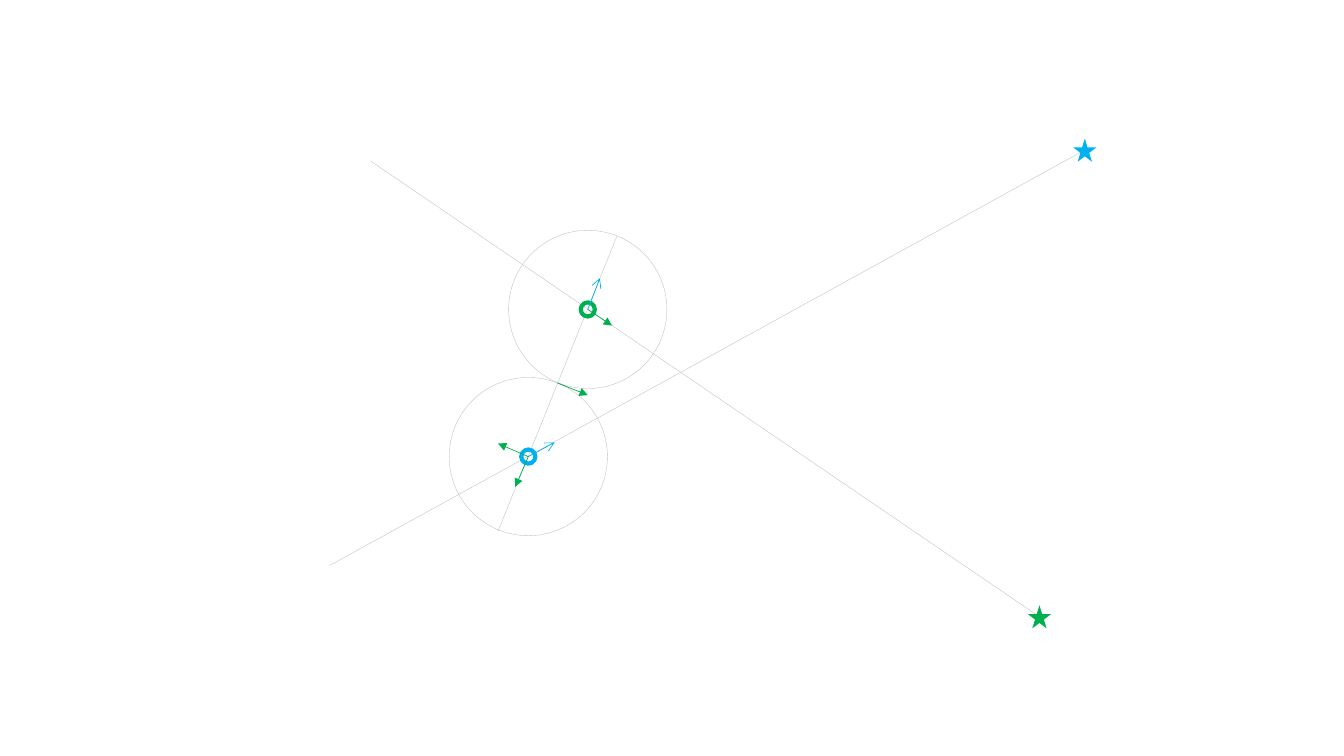
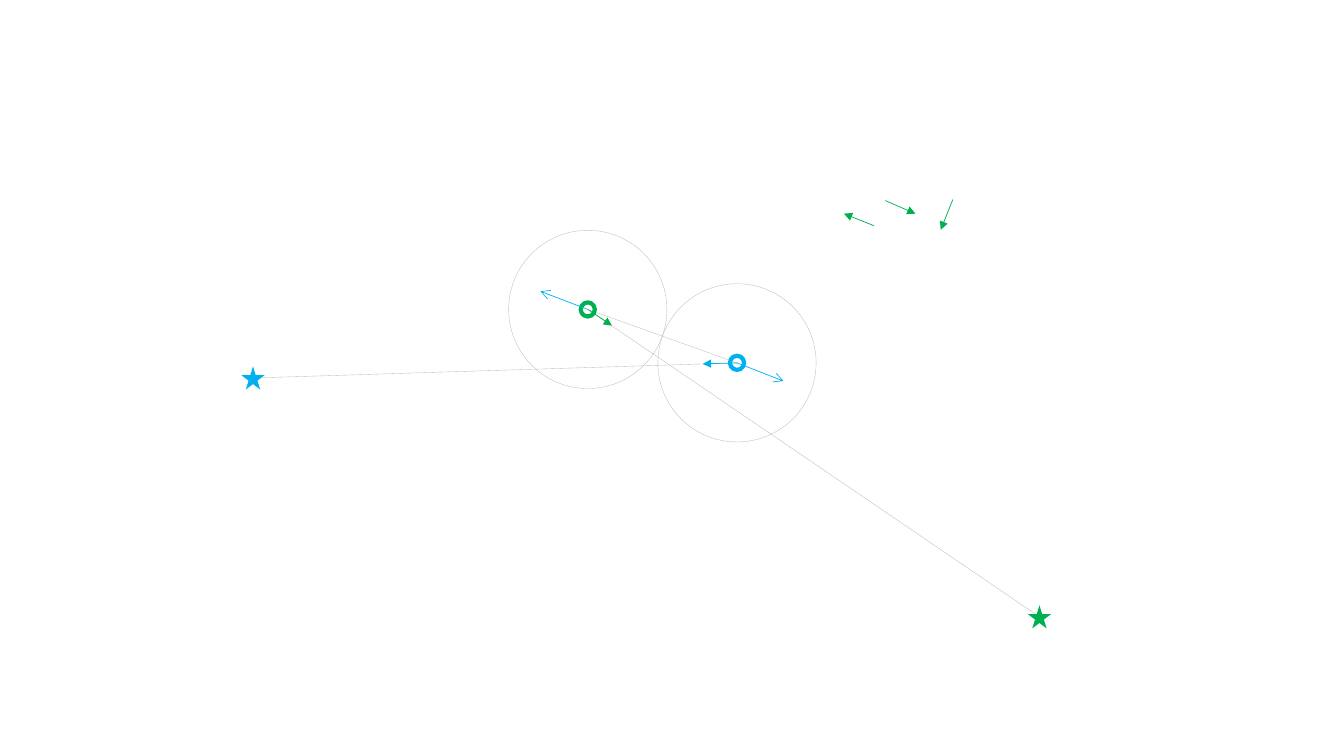
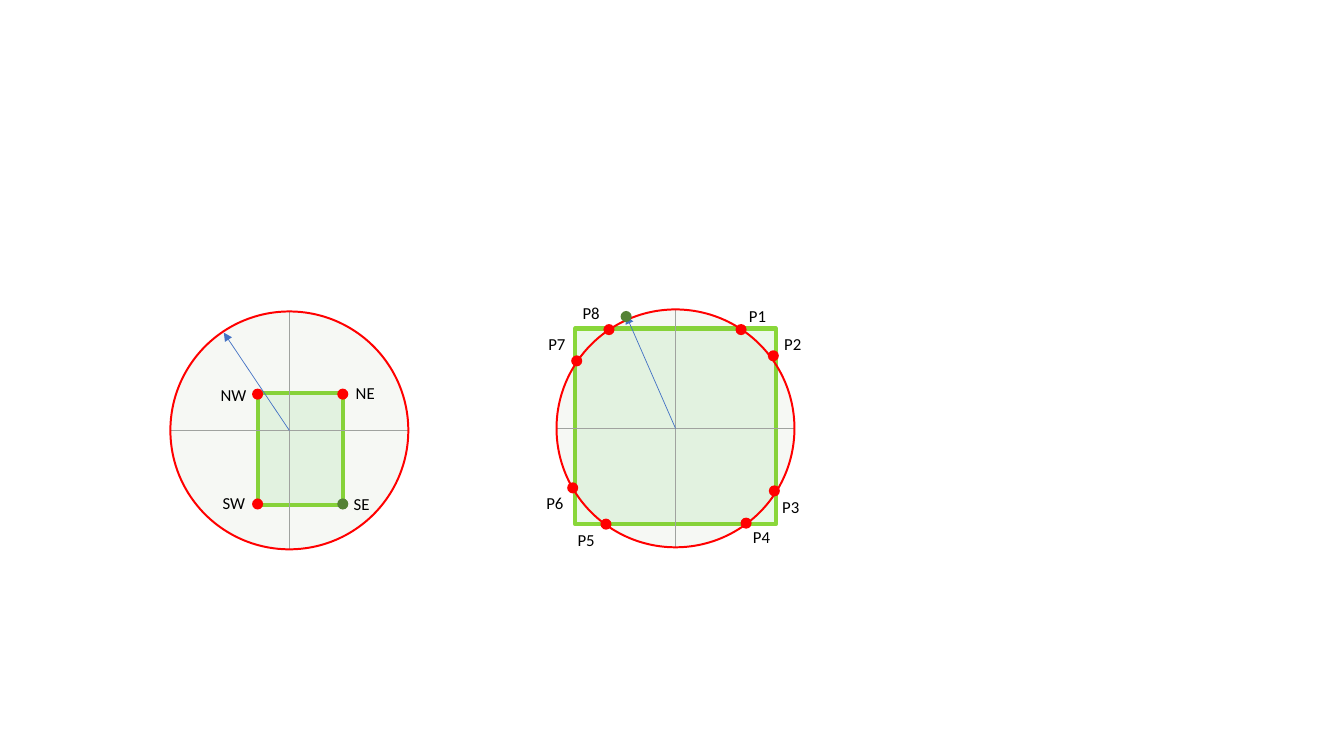
from pptx import Presentation
from pptx.dml.color import RGBColor
from pptx.enum.shapes import MSO_CONNECTOR, MSO_SHAPE
from pptx.enum.text import MSO_AUTO_SIZE
from pptx.oxml.ns import qn
from pptx.util import Inches, Pt
from lxml import etree

OVAL, STAR, RECT = MSO_SHAPE.OVAL, MSO_SHAPE.STAR_5_POINT, MSO_SHAPE.RECTANGLE
STRAIGHT = MSO_CONNECTOR.STRAIGHT
FIT_TEXT = MSO_AUTO_SIZE.SHAPE_TO_FIT_TEXT

GREEN = RGBColor(0x00, 0xB0, 0x50)
BLUE = RGBColor(0x00, 0xB0, 0xF0)
GUIDE = RGBColor(0xBF, 0xBF, 0xBF)
AXIS = RGBColor(0xA5, 0xA5, 0xA5)
HEADING = RGBColor(0x44, 0x72, 0xC4)
RED = RGBColor(0xFF, 0x00, 0x00)
MOSS = RGBColor(0x54, 0x82, 0x35)
LIME = RGBColor(0x89, 0xD7, 0x3A)
AREA = RGBColor(0x33, 0xCC, 0x33)
BLACK = RGBColor(0x00, 0x00, 0x00)
FONT = "Calibri"

RANGE, CORE, TARGET = 1.57, 0.14, 0.23      # diameters of the moving bodies
RADIUS, DOT = 1.18, 0.11                    # radar circle and marker
LABEL_W, LABEL_H = 0.47, 0.3


def add_figure(slide, kind, center, size, fill=None, opacity=100, line=None, weight=0):
    """Place a preset shape around its center, in inches."""
    (x, y), (w, h) = center, size
    figure = slide.shapes.add_shape(
        kind, Inches(x - w / 2), Inches(y - h / 2), Inches(w), Inches(h))
    figure.shadow.inherit = False
    if fill is None:
        figure.fill.background()
    else:
        figure.fill.solid()
        figure.fill.fore_color.rgb = fill
        if opacity < 100:
            color = figure.fill._xPr.find(".//" + qn("a:srgbClr"))
            etree.SubElement(color, qn("a:alpha"), val=str(opacity * 1000))
    if line is None:
        figure.line.fill.background()
    else:
        figure.line.color.rgb = line
        figure.line.width = Pt(weight)


def add_line(slide, start, end, color, weight, head=None):
    """Draw a straight line, with an arrowhead at its end if one is named."""
    connector = slide.shapes.add_connector(
        STRAIGHT, *(Inches(value) for value in (*start, *end)))
    connector.line.color.rgb = color
    connector.line.width = Pt(weight)
    if head:
        etree.SubElement(connector.line._get_or_add_ln(), qn("a:tailEnd"), type=head)
    etree.SubElement(connector._element.spPr, qn("a:effectLst"))


prs = Presentation()
prs.slide_width, prs.slide_height = Inches(13.33), Inches(7.5)
blank = prs.slide_layouts[6]

# Slides 1 and 2: two bodies meet on the way to their targets
green_body, green_target = (5.83, 3.07), (10.31, 6.12)
lower_body, right_body = (5.24, 4.53), (7.31, 3.6)
encounters = [
    {
        "bodies": [(green_body, GREEN), (lower_body, BLUE)],
        "targets": [(green_target, GREEN), ((10.76, 1.49), BLUE)],
        "guides": [((6.12, 2.34), (4.94, 5.27)),
                   ((3.68, 1.6), green_target),
                   ((3.27, 5.61), (10.72, 1.51))],
        "arrows": [(green_body, (6.07, 3.23), GREEN, "triangle"),
                   (lower_body, (5.5, 4.39), BLUE, "arrow"),
                   (green_body, (5.95, 2.76), BLUE, "arrow"),
                   (lower_body, (5.11, 4.83), GREEN, "triangle"),
                   ((5.53, 3.8), (5.83, 3.92), GREEN, "triangle"),
                   (lower_body, (4.94, 4.4), GREEN, "triangle")],
    },
    {
        "bodies": [(green_body, GREEN), (right_body, BLUE)],
        "targets": [(green_target, GREEN), ((2.51, 3.75), BLUE)],
        "guides": [(green_body, right_body),
                   (green_body, green_target),
                   ((2.51, 3.75), right_body)],
        "arrows": [(green_body, (6.07, 3.23), GREEN, "triangle"),
                   (right_body, (6.97, 3.61), BLUE, "triangle"),
                   (green_body, (5.36, 2.89), BLUE, "arrow"),
                   ((9.45, 1.98), (9.33, 2.28), GREEN, "triangle"),
                   ((8.78, 1.99), (9.08, 2.12), GREEN, "triangle"),
                   ((8.67, 2.24), (8.37, 2.12), GREEN, "triangle"),
                   (right_body, (7.77, 3.78), BLUE, "arrow")],
    },
]
for encounter in encounters:
    slide = prs.slides.add_slide(blank)
    for start, end in encounter["guides"]:
        add_line(slide, start, end, GUIDE, 0.25)
    for center, color in encounter["bodies"]:
        add_figure(slide, OVAL, center, (RANGE, RANGE), line=GUIDE, weight=0.25)
        add_figure(slide, OVAL, center, (CORE, CORE), line=color, weight=3)
    for start, end, color, head in encounter["arrows"]:
        add_line(slide, start, end, color, 0.5, head)
    for center, color in encounter["targets"]:
        add_figure(slide, STAR, center, (TARGET, TARGET), fill=color)

# Slide 3: a search area inside the radar circle, and one that crosses it
slide = prs.slides.add_slide(blank)
radars = [
    {
        "center": (2.87, 4.27), "heading": (2.22, 3.3),
        "area": ((2.98, 4.455), (0.84, 1.11)),
        "dots": [((2.555, 5), RED), ((2.555, 3.91), RED),
                 ((3.4, 5), MOSS), ((3.4, 3.91), RED)],
        "labels": {"NE": (3.43, 3.75), "SE": (3.41, 4.85),
                   "SW": (2.11, 4.84), "NW": (2.09, 3.77)},
    },
    {
        "center": (6.7, 4.25), "heading": (6.21, 3.13),
        "area": ((6.7, 4.23), (1.99, 1.94)),
        "dots": [((7.35, 3.27), RED), ((7.67, 3.53), RED),
                 ((7.68, 4.87), RED), ((7.4, 5.19), RED),
                 ((6.01, 5.2), RED), ((5.68, 4.84), RED),
                 ((5.72, 3.58), RED), ((6.04, 3.27), RED),
                 ((6.21, 3.14), MOSS)],
        "labels": {"P1": (7.33, 2.98), "P2": (7.68, 3.26), "P3": (7.66, 4.88),
                   "P4": (7.37, 5.18), "P5": (5.63, 5.21), "P6": (5.32, 4.84),
                   "P7": (5.34, 3.26), "P8": (5.68, 2.95)},
    },
]
for radar in radars:
    x, y = radar["center"]
    area_center, area_size = radar["area"]
    add_figure(slide, RECT, area_center, area_size, AREA, 10, LIME, 3)

    # Cross, circle and heading
    add_line(slide, (x, y - RADIUS), (x, y + RADIUS), AXIS, 0.5)
    add_line(slide, (x - RADIUS, y), (x + RADIUS, y), AXIS, 0.5)
    add_figure(slide, OVAL, (x, y), (2 * RADIUS, 2 * RADIUS), MOSS, 5, RED, 1.42)
    add_line(slide, (x, y), radar["heading"], HEADING, 0.5, "triangle")

    # Corners or crossings, with their names
    for center, color in radar["dots"]:
        add_figure(slide, OVAL, center, (DOT, DOT), fill=color)
    for name, (left, top) in radar["labels"].items():
        label = slide.shapes.add_textbox(
            Inches(left), Inches(top), Inches(LABEL_W), Inches(LABEL_H)).text_frame
        label.word_wrap = True
        label.auto_size = FIT_TEXT
        label.text = name
        font = label.paragraphs[0].runs[0].font
        font.name, font.size, font.color.rgb = FONT, Pt(12), BLACK

prs.save("out.pptx")
